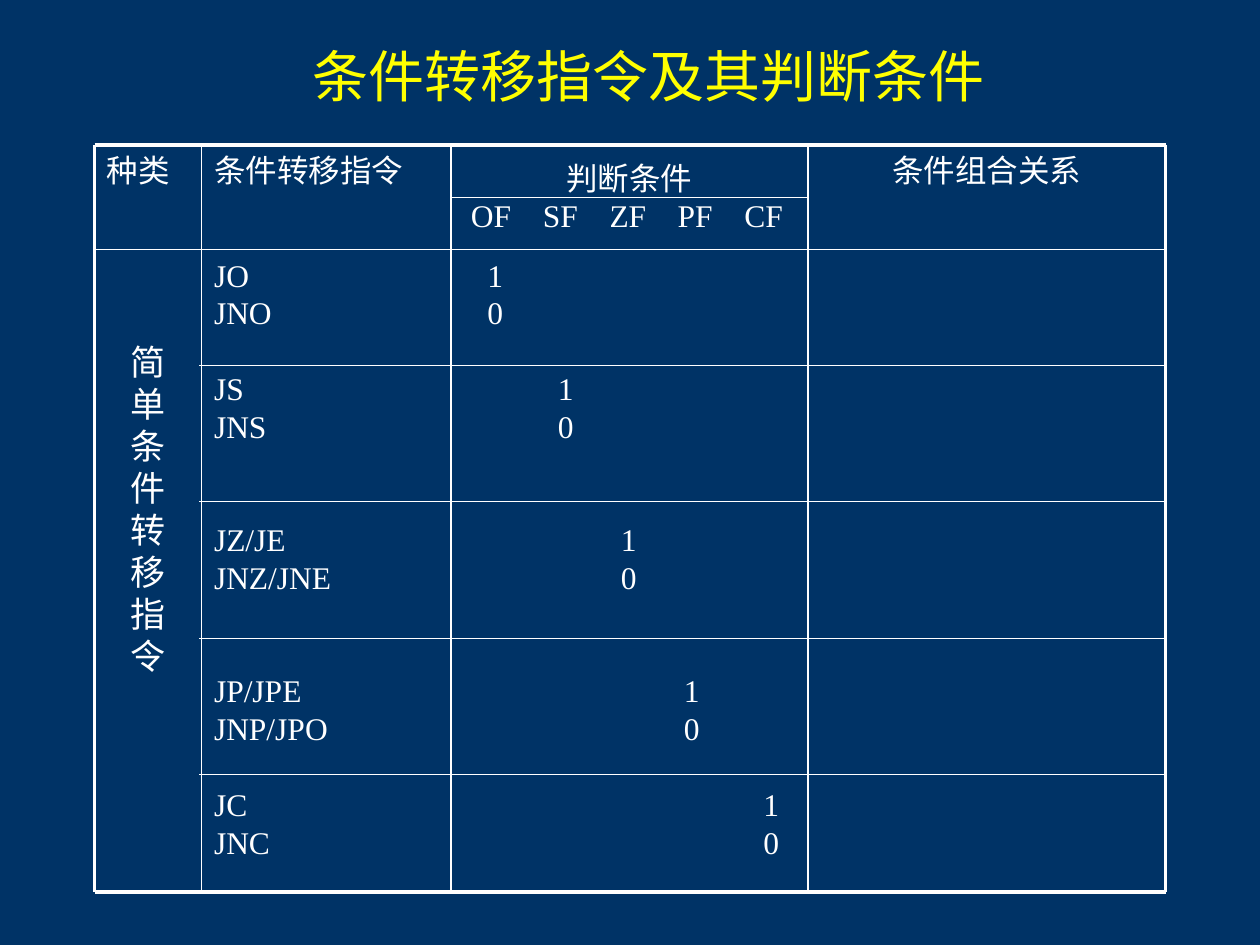
from lxml.etree import SubElement
from pptx import Presentation
from pptx.dml.color import RGBColor
from pptx.enum.shapes import MSO_CONNECTOR as Connector
from pptx.enum.text import MSO_ANCHOR as Anchor, MSO_AUTO_SIZE as AutoSize, PP_ALIGN as Align
from pptx.oxml.ns import qn
from pptx.util import Inches, Pt

TITLE = "条件转移指令及其判断条件"
HEADINGS = [("种类", Align.LEFT), ("条件转移指令", Align.LEFT),
            ("判断条件", Align.CENTER), ("条件组合关系", Align.CENTER)]
CATEGORY = "简单条件转移指令"
FLAGS = [("OF", 0.06), ("SF", 0.63), ("ZF", 1.16), ("PF", 1.7), ("CF", 2.23)]
JUMPS = [
    {"names": ("JO", "JNO"), "gap": 0, "indent": 0.19},
    {"names": ("JS", "JNS"), "gap": 1, "indent": 0.75},
    {"names": ("JZ/JE", "JNZ/JNE"), "gap": 2, "indent": 1.25},
    {"names": ("JP/JPE", "JNP/JPO"), "gap": 2, "indent": 1.75},
    {"names": ("JC", "JNC"), "gap": 1, "indent": 2.38},
]
VALUES = ("1", "0")

COLUMNS = [0.75, 1.6, 3.58, 6.41, 9.25]
TOP, HEADER_BOTTOM, BOTTOM = 1.15, 1.98, 7.08
FLAG_RULE = 1.57
RULE_START, FIRST_RULE, RULE_STEP = 1.58, 2.9, 1.083
BODY_HEIGHT = 5.09
HEADER_HEIGHT = HEADER_BOTTOM - TOP
OUTER, INNER, THIN = 2.25, 1, 0.75
LINE_RATIO = 1.2
TEXT_SIZE, CATEGORY_SIZE = 18, 20
NAVY, WHITE, YELLOW = "003366", "FFFFFF", "FFFF00"


def color(value):
    return RGBColor.from_string(value)


def set_all(target, values):
    for name, value in values.items():
        setattr(target, name, value)


def add_box(page, column, top, height, top_inset=0.05):
    left, right = COLUMNS[column:column + 2]
    box = page.shapes.add_textbox(Inches(left), Inches(top), Inches(right - left), Inches(height))
    set_all(box.text_frame, {
        "word_wrap": True, "auto_size": AutoSize.NONE, "vertical_anchor": Anchor.TOP,
        "margin_left": Inches(0.1), "margin_right": Inches(0.1),
        "margin_top": Inches(top_inset), "margin_bottom": Inches(0.05)})
    return box.text_frame


def add_text(frame, text, align=Align.LEFT, size=TEXT_SIZE, gap=0, indent=0, tabs=()):
    first = frame.paragraphs[0]
    para = first if not first.runs else frame.add_paragraph()
    set_all(para, {"alignment": align, "line_spacing": Pt(size * LINE_RATIO)})
    if gap:
        para.space_before = Pt(gap * size * LINE_RATIO)
    props = para._p.get_or_add_pPr()
    if indent:
        props.set("marL", str(Inches(indent)))
    if tabs:
        stops = SubElement(props, qn("a:tabLst"))
        for tab in tabs:
            SubElement(stops, qn("a:tab"), pos=str(Inches(tab)), algn="l")
    span = para.add_run()
    span.text = text
    set_all(span.font, {"name": "Times New Roman", "size": Pt(size)})
    span.font.color.rgb = color(WHITE)


def add_line(page, x1, y1, x2, y2, width):
    line = page.shapes.add_connector(
        Connector.STRAIGHT, Inches(x1), Inches(y1), Inches(x2), Inches(y2))
    line.line.color.rgb = color(WHITE)
    line.line.width = Pt(width)
    SubElement(line._element.spPr, qn("a:effectLst"))


def add_title(page):
    title = page.shapes.title
    set_all(title, {"left": Inches(0.9), "top": Inches(0.28),
                    "width": Inches(8.5), "height": Inches(0.58)})
    set_all(title.text_frame, {
        "text": TITLE, "vertical_anchor": Anchor.BOTTOM, "auto_size": AutoSize.NONE,
        "margin_left": 0, "margin_right": 0, "margin_top": 0, "margin_bottom": 0})
    para = title.text_frame.paragraphs[0]
    para.alignment = Align.CENTER
    font = para.runs[0].font
    set_all(font, {"name": "DejaVu Sans", "size": Pt(32)})
    font.color.rgb = color(YELLOW)


def add_header(page):
    for column, (text, align) in enumerate(HEADINGS):
        has_flags = column == 2
        frame = add_box(page, column, TOP + 0.06 * has_flags, HEADER_HEIGHT)
        add_text(frame, text, align)
        if has_flags:
            add_text(frame, "".join(f"\t{flag}" for flag, _ in FLAGS),
                     tabs=[stop for _, stop in FLAGS])


def add_body(page):
    category = add_box(page, 0, HEADER_BOTTOM, BODY_HEIGHT, top_inset=0.72)
    for letter in CATEGORY:
        add_text(category, letter, Align.CENTER, CATEGORY_SIZE)
    names = add_box(page, 1, HEADER_BOTTOM, BODY_HEIGHT)
    values = add_box(page, 2, HEADER_BOTTOM, BODY_HEIGHT)
    for jump in JUMPS:
        for index, (name, value) in enumerate(zip(jump["names"], VALUES)):
            gap = 0 if index else jump["gap"]
            add_text(names, name, gap=gap)
            add_text(values, value, gap=gap, indent=jump["indent"])


def add_grid(page):
    left, right = COLUMNS[0], COLUMNS[-1]
    for y, width in ((TOP, OUTER), (HEADER_BOTTOM, INNER), (BOTTOM, OUTER)):
        add_line(page, left, y, right, y, width)
    for x in COLUMNS:
        add_line(page, x, TOP, x, BOTTOM, OUTER if x in (left, right) else INNER)
    add_line(page, COLUMNS[2], FLAG_RULE, COLUMNS[3], FLAG_RULE, THIN)
    for row in range(len(JUMPS) - 1):
        y = FIRST_RULE + row * RULE_STEP
        add_line(page, RULE_START, y, right, y, THIN)


def main():
    deck = Presentation()
    set_all(deck, {"slide_width": Inches(10), "slide_height": Inches(7.5)})
    page = deck.slides.add_slide(deck.slide_layouts[5])
    page.background.fill.solid()
    page.background.fill.fore_color.rgb = color(NAVY)
    add_title(page)
    add_header(page)
    add_body(page)
    add_grid(page)
    deck.save("out.pptx")


if __name__ == "__main__":
    main()
